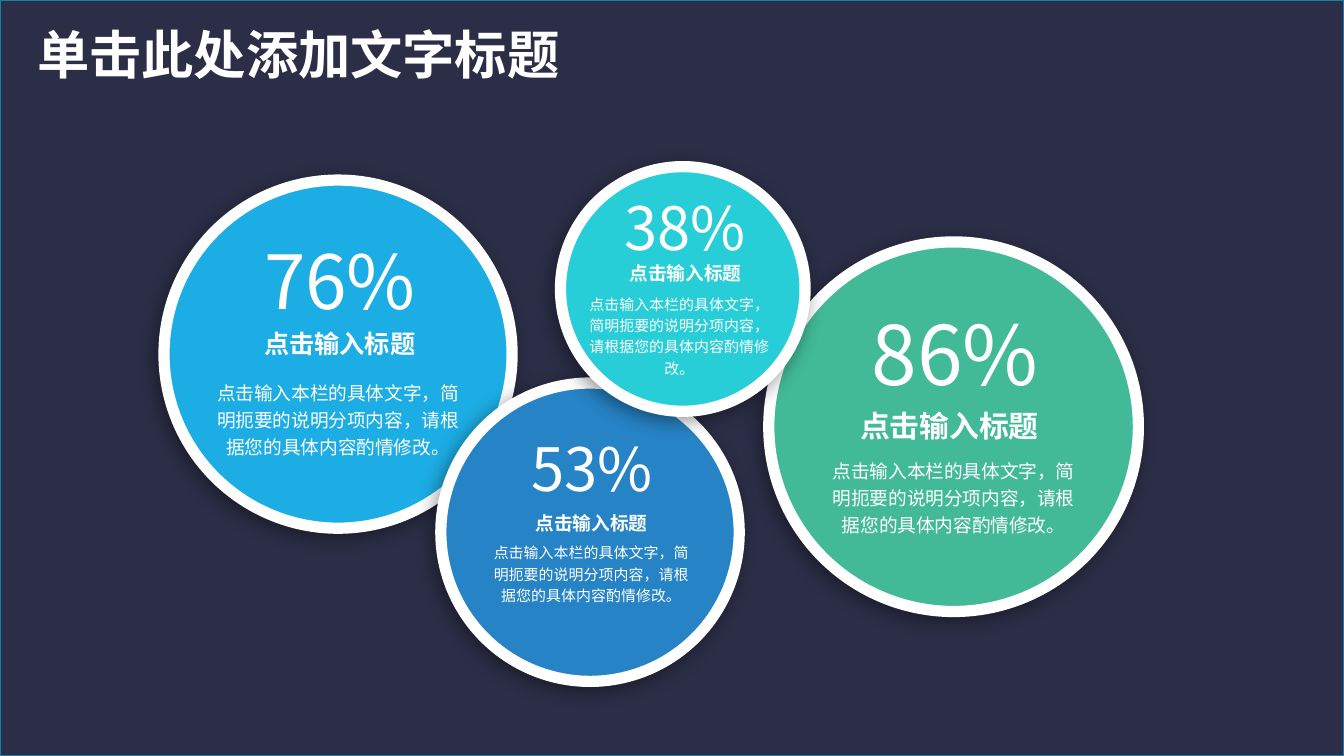
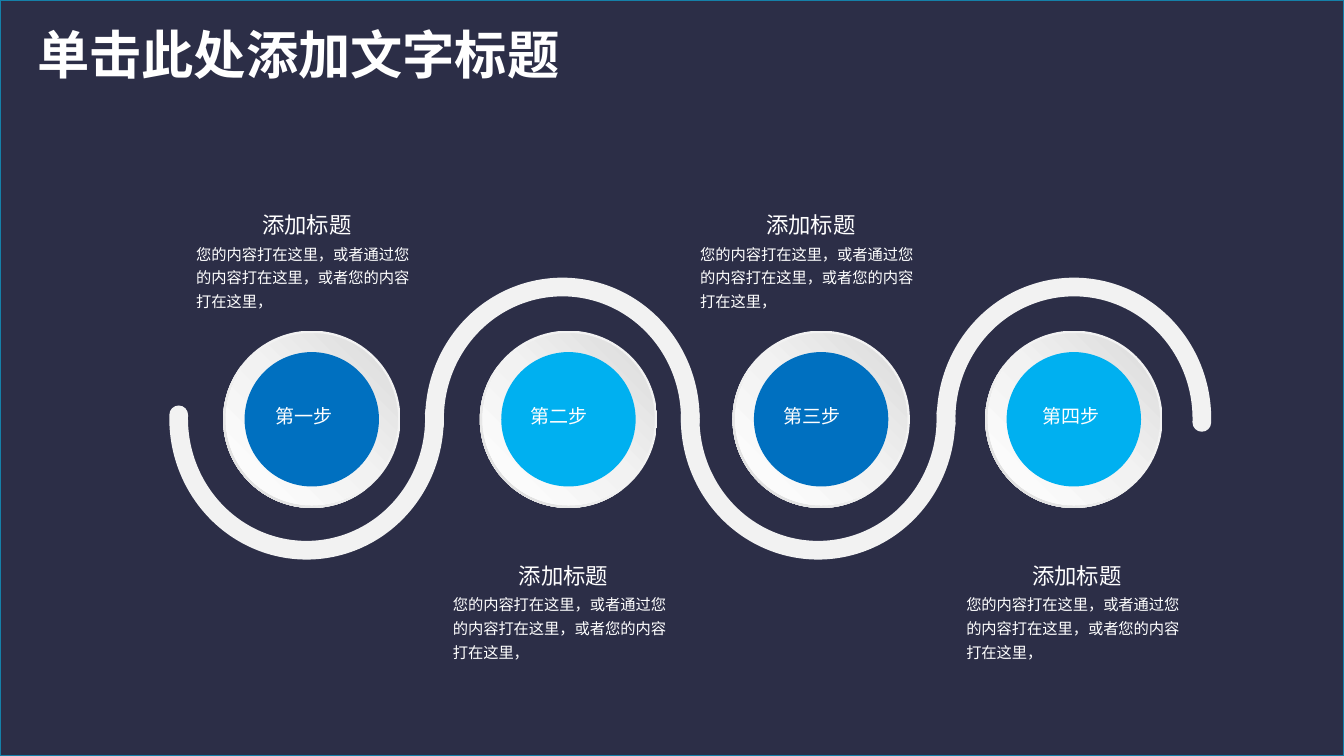
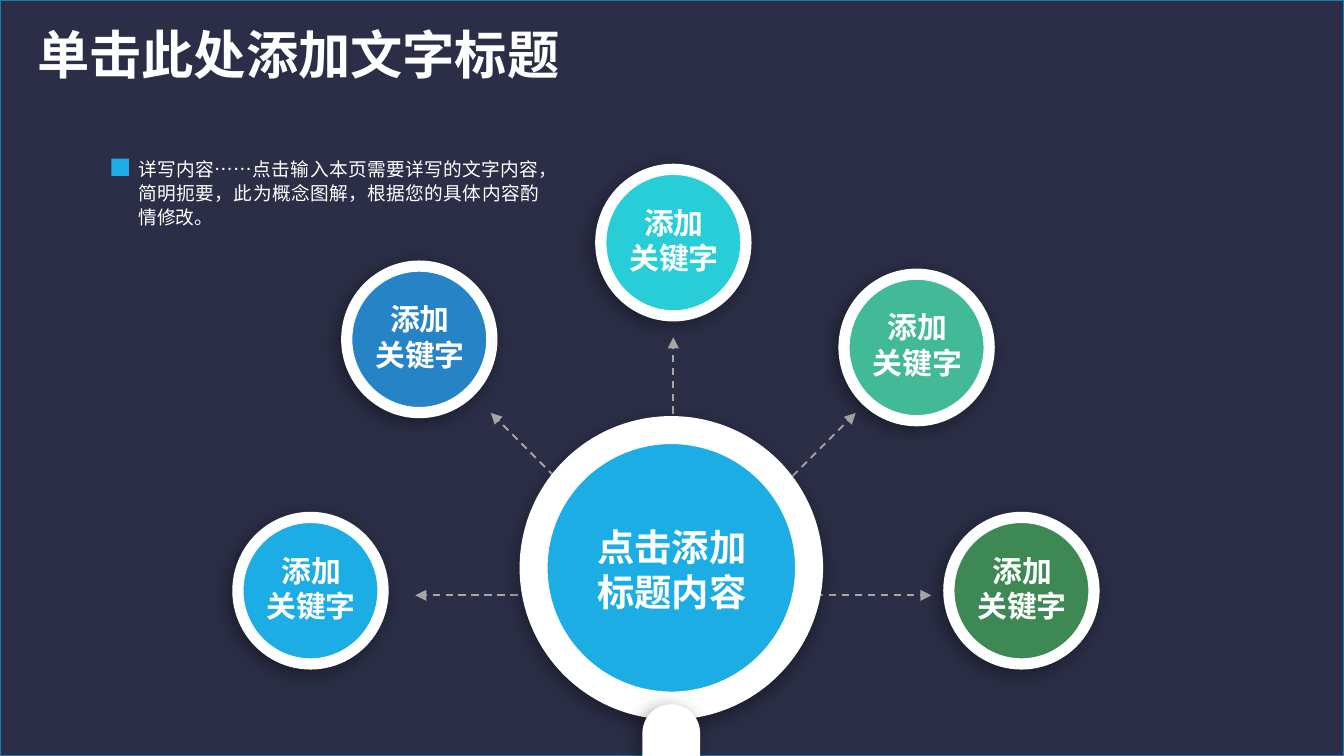
from math import cos, radians, sin

from lxml import etree
from pptx import Presentation
from pptx.dml.color import RGBColor
from pptx.enum.dml import MSO_LINE_DASH_STYLE as DASH
from pptx.enum.shapes import MSO_CONNECTOR as CONN, MSO_SHAPE as SHAPE
from pptx.enum.text import MSO_ANCHOR as ANCHOR, MSO_AUTO_SIZE as FIT, PP_ALIGN as ALIGN
from pptx.oxml import parse_xml
from pptx.oxml.ns import nsdecls, qn
from pptx.util import Inches, Pt

COLS, ROWS = 100, 56.25
CELL = Inches(10) // COLS
FONT = "Noto Sans CJK SC"
LINE_EM = 1.21
PT_CELLS = 10 / 72

NAVY = RGBColor(0x2C, 0x2E, 0x47)
EDGE = RGBColor(0x15, 0x80, 0xA9)
WHITE = RGBColor(0xFF, 0xFF, 0xFF)
PALE = RGBColor(0xF2, 0xF2, 0xF2)
SILVER = RGBColor(0xD9, 0xD9, 0xD9)
GRAY = RGBColor(0xA6, 0xA6, 0xA6)
SKY = RGBColor(0x1C, 0xAD, 0xE4)
BLUE = RGBColor(0x26, 0x83, 0xC6)
CYAN = RGBColor(0x27, 0xCE, 0xD7)
MINT = RGBColor(0x42, 0xBA, 0x97)
GREEN = RGBColor(0x3E, 0x88, 0x53)
STEP_DARK = RGBColor(0x00, 0x70, 0xC0)
STEP_LIGHT = RGBColor(0x00, 0xB0, 0xF0)

TITLE = "单击此处添加文字标题"
BUBBLE_HEAD = "点击输入标题"
BUBBLE_BODY = "点击输入本栏的具体文字，简明扼要的说明分项内容，请根据您的具体内容酌情修改。"
STEP_HEAD = "添加标题"
STEP_BODY = "您的内容打在这里，或者通过您的内容打在这里，或者您的内容打在这里，"
HUB_NOTE = "详写内容……点击输入本页需要详写的文字内容，简明扼要，此为概念图解，根据您的具体内容酌情修改。"


def cells(*values):
    return [round(v * CELL) for v in values]


def add_shape(slide, kind, box, fill=None, line=None, width=1):
    sp = slide.shapes.add_shape(kind, *cells(*box))
    sp.shadow.inherit = False
    if fill is None:
        sp.fill.background()
    else:
        sp.fill.solid()
        sp.fill.fore_color.rgb = fill
    if line is None:
        sp.line.fill.background()
    else:
        sp.line.color.rgb = line
        sp.line.width = Pt(width)
    return sp


def add_shadow(sp, angle=135):
    effects = sp._element.spPr.find(qn("a:effectLst"))
    effects.append(parse_xml(
        f'<a:outerShdw {nsdecls("a")} blurRad="{Pt(10)}" dist="{Pt(3)}" dir="{angle * 60000}" '
        'algn="ctr" rotWithShape="0"><a:srgbClr val="000000"><a:alpha val="40000"/>'
        '</a:srgbClr></a:outerShdw>'))


def set_gradient(sp, stops, angle):
    marks = "".join(f'<a:gs pos="{pos * 1000}"><a:srgbClr val="{color}"/></a:gs>'
                    for pos, color in stops)
    solid = sp._element.spPr.find(qn("a:solidFill"))
    solid.getparent().replace(solid, parse_xml(
        f'<a:gradFill {nsdecls("a")} rotWithShape="1"><a:gsLst>{marks}</a:gsLst>'
        f'<a:lin ang="{angle * 60000}" scaled="0"/></a:gradFill>'))


def add_text(slide, box, lines, size, bold=False, align=ALIGN.LEFT, spacing=None,
             inset=(1, 0.5), wrap=True):
    sp = slide.shapes.add_textbox(*cells(*box))
    tf = sp.text_frame
    tf.word_wrap = wrap
    tf.auto_size = FIT.SHAPE_TO_FIT_TEXT
    tf.vertical_anchor = ANCHOR.TOP
    tf.margin_left = tf.margin_right = cells(inset[0])[0]
    tf.margin_top = tf.margin_bottom = cells(inset[1])[0]
    for i, line in enumerate(lines):
        p = tf.paragraphs[0] if i == 0 else tf.add_paragraph()
        p.alignment = align
        if spacing:
            p.line_spacing = spacing
        r = p.add_run()
        r.text = line
        r.font.size = Pt(size)
        r.font.bold = bold
        r.font.name = FONT
        r.font.color.rgb = WHITE
        etree.SubElement(r._r.get_or_add_rPr(), qn("a:ea")).set("typeface", FONT)


def add_base(prs):
    slide = prs.slides.add_slide(prs.slide_layouts[6])
    add_shape(slide, SHAPE.RECTANGLE, (0, 0, COLS, ROWS), NAVY, EDGE)
    add_text(slide, (1.8, 1.2, 41.3, 5.7), [TITLE], 28, bold=True, wrap=False)
    return slide


def add_ringed_disc(slide, box, fill, ring=6, angle=135):
    sp = add_shape(slide, SHAPE.OVAL, box, fill, WHITE, ring)
    add_shadow(sp, angle)


def add_bubble(slide, box, fill, percent, figure, head, body):
    x, y, d, _ = box
    add_ringed_disc(slide, box, fill)

    def centred(text, width, nudge, top, size, lines=1, **style):
        place = (x + d / 2 + nudge - width / 2, y + top, width, lines * size * LINE_EM * PT_CELLS)
        add_text(slide, place, [text], size, align=ALIGN.CENTER, inset=(0, 0), **style)

    body_width, *body_place = body
    centred(BUBBLE_BODY, body_width, *body_place, lines=3, spacing=1.2)
    centred(percent, figure[-1] * 0.29, *figure, wrap=False)
    centred(BUBBLE_HEAD, head[-1] * 6 * PT_CELLS, *head, bold=True, wrap=False)


def build_bubbles(prs):
    slide = add_base(prs)
    bubbles = [
        (57.2, 18, 27.5, MINT, "86%", (0.1, 4.6, 44), (-0.3, 12.3, 16), (18.6, 0, 15.9, 10)),
        (12.2, 13.4, 25.9, SKY, "76%", (0.15, 4.1, 40), (0.15, 11, 13.5), (18.6, 0, 14.7, 10)),
        (32.8, 28.5, 22.2, BLUE, "53%", (0.15, 3.6, 32), (0.1, 9.6, 10), (15.3, 0.1, 11.7, 8)),
        (41.7, 12.4, 18.2, CYAN, "38%", (0.15, 1.8, 32), (0.2, 7.1, 10), (14.5, -0.25, 9.3, 8)),
    ]
    for x, y, d, *content in bubbles:
        add_bubble(slide, (x, y, d, d), *content)


def add_wave(slide, box, count):
    x, y, w, h = box
    for i in range(count):
        sp = add_shape(slide, SHAPE.ARC, (x + i * w, y, w, h), line=PALE, width=10)
        sp.adjustments[0] = 357.5 * 0.6
        sp.adjustments[1] = 181.67 * 0.6
        sp.rotation = 180 * (i % 2)
        sp.line._get_or_add_ln().set("cap", "rnd")


def add_step_disc(slide, box, fill, label, label_dx):
    x, y, d, _ = box
    rim = add_shape(slide, SHAPE.DONUT, box, PALE)
    rim.adjustments[0] = 0.049
    set_gradient(rim, [(0, PALE), (55, PALE), (100, SILVER)], 135)
    plate = add_shape(slide, SHAPE.OVAL, (x + 0.2, y + 0.2, d - 0.4, d - 0.4), PALE)
    set_gradient(plate, [(0, WHITE), (51, PALE), (100, SILVER)], 315)
    add_shape(slide, SHAPE.OVAL, (x + 1.6, y + 1.6, d - 3.2, d - 3.2), fill)
    add_text(slide, (x + label_dx, y + 5, 7.5, 2.7), [label], 10.2)


def add_caption(slide, box):
    x, y, w, h = box
    add_text(slide, (x, y + 2.7, w, h - 2.7), [STEP_BODY], 8.2, spacing=1.3, inset=(0.7, 0.4))
    add_text(slide, (x + 4.9, y, 11, 3), [STEP_HEAD], 12, spacing=1.5, inset=(0.7, 0))


def build_steps(prs):
    slide = add_base(prs)
    add_wave(slide, (13.3, 21.35, 19.03, 19.6), 4)
    steps = [
        ("第一步", 16.6, 2.9, 13.9),
        ("第二步", 35.7, 2.8, 33),
        ("第三步", 54.5, 2.8, 51.4),
        ("第四步", 73.3, 3.3, 71.2),
    ]
    for i, (label, disc_x, label_dx, caption_x) in enumerate(steps):
        fill = STEP_LIGHT if i % 2 else STEP_DARK
        add_caption(slide, (caption_x, 40.8 if i % 2 else 14.7, 18.3, 8.9))
        add_step_disc(slide, (disc_x, 24.6, 13.2, 13.2), fill, label, label_dx)


def add_spokes(slide, cx, cy, reach, angles):
    for angle in angles:
        tip_x = cx + reach * cos(radians(angle))
        tip_y = cy - reach * sin(radians(angle))
        ln = slide.shapes.add_connector(CONN.STRAIGHT, *cells(cx, cy, tip_x, tip_y))
        ln.line.color.rgb = GRAY
        ln.line.width = Pt(1)
        ln.line.dash_style = DASH.DASH
        etree.SubElement(ln.line._get_or_add_ln(), qn("a:tailEnd")).set("type", "triangle")
        etree.SubElement(ln._element.spPr, qn("a:effectLst"))


def add_hub(slide, box):
    x, y, d, _ = box
    add_ringed_disc(slide, box, SKY, ring=15, angle=100)
    handle = add_shape(slide, SHAPE.ROUNDED_RECTANGLE, (x + 8.1, y + 20.4, 4.3, 8.8), WHITE)
    handle.adjustments[0] = 0.5
    add_shadow(handle)
    add_text(slide, (x + 2.3, y + 6.5, 16, 7.7), ["点击添加", "标题内容"], 20,
             bold=True, align=ALIGN.CENTER)


def add_keyword(slide, box, fill):
    x, y, _, _ = box
    add_ringed_disc(slide, box, fill)
    add_text(slide, (x + 0.6, y + 2, 9.7, 6.6), ["添加", "关键字"], 16,
             bold=True, align=ALIGN.CENTER, inset=(1.2, 0.6))


def add_note(slide, box):
    x, y, w, h = box
    add_text(slide, (x + 2, y, w - 2, h), [HUB_NOTE], 10, align=ALIGN.JUSTIFY,
             spacing=Pt(13), inset=(0, 0))
    add_shape(slide, SHAPE.RECTANGLE, (x, y + 0.2, 1.3, 1.3), SKY)


def build_hub(prs):
    slide = add_base(prs)
    add_spokes(slide, 50.1, 44.3, 19.2, range(0, 181, 45))
    add_hub(slide, (39.7, 32, 20.5, 20.5))
    keywords = [
        (17.7, 38.5, SKY),
        (25.8, 19.8, BLUE),
        (44.7, 12.6, CYAN),
        (62.8, 20.4, MINT),
        (70.6, 38.5, GREEN),
    ]
    for x, y, fill in keywords:
        add_keyword(slide, (x, y, 10.8, 10.9), fill)
    add_note(slide, (8.3, 11.6, 31.8, 5.5))


def main():
    prs = Presentation()
    prs.slide_width, prs.slide_height = cells(COLS, ROWS)
    build_bubbles(prs)
    build_steps(prs)
    build_hub(prs)
    prs.save("out.pptx")


if __name__ == "__main__":
    main()
